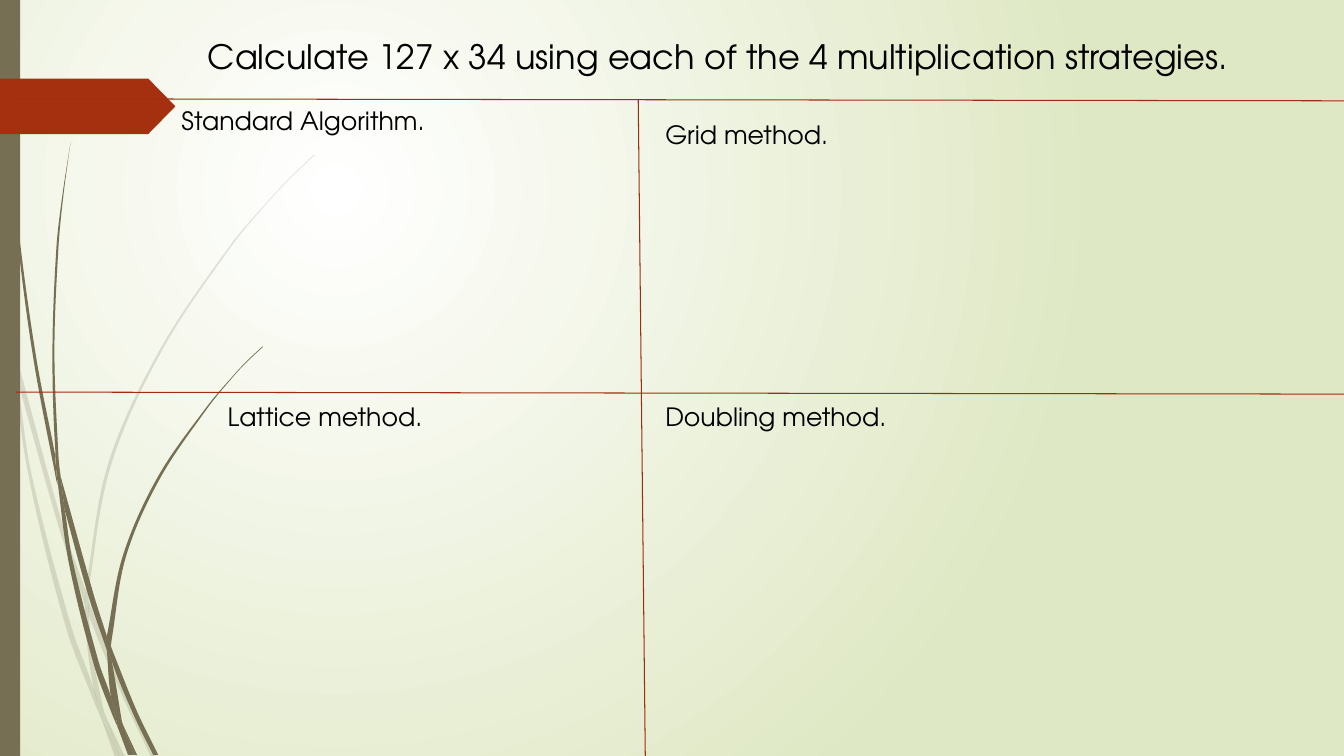
from math import dist
from lxml import etree
from pptx import Presentation
from pptx.dml.color import RGBColor
from pptx.enum.shapes import MSO_CONNECTOR as Link, MSO_SHAPE as Kind
from pptx.enum.text import MSO_ANCHOR as Anchor, MSO_AUTO_SIZE as Fit, PP_ALIGN as Align
from pptx.oxml.ns import qn
from pptx.util import Inches, Pt

COLORS = {"white": "FFFFFF", "sage": "DFE8C4", "olive": "766F54",
          "rust": "A53010", "rule": "9E2E0F", "ink": "000000"}
FONT = "TeX Gyre Adventor"

PALE = [
    ([(0.11, 3.5), (0.09, 3.22), (0, 2.82)], [(0, 2.99), (0.1, 3.44), (0.11, 3.5)]),
    ([(0.17, 3.76), (0.58, 5.22), (0.84, 5.99)], [(0.85, 5.86), (0.62, 5.2), (0.14, 3.45)]),
    ([(0.88, 5.96), (0.88, 6.1), (1.23, 6.94), (1.5, 7.51)],
     [(1.55, 7.51), (1.27, 6.92), (0.92, 6.07), (0.88, 5.96)]),
    ([(1.05, 7.11), (1.19, 7.51)], [(1.24, 7.51), (1.05, 7.11)]),
    ([(0.11, 3.5), (0.28, 4.7), (0.65, 6.21), (0.92, 6.93), (1.01, 7.14)],
     [(0.99, 7.07), (0.93, 6.83), (0.7, 6.19), (0.31, 4.69), (0.17, 3.76), (0.11, 3.5)]),
    ([(0.84, 5.99), (0.87, 6.46), (0.93, 6.83), (0.96, 6.92), (1.05, 7.11)],
     [(1.03, 7.06), (0.91, 6.46), (0.88, 6.1), (0.84, 5.99)]),
    ([(0.88, 5.96), (0.88, 5.84), (1.1, 4.62), (1.6, 3.49), (2.29, 2.45), (2.68, 1.98),
      (2.9, 1.75), (3.12, 1.54)],
     [(3.12, 1.53), (2.89, 1.75), (2.68, 1.97), (2.28, 2.44), (1.58, 3.48), (1.07, 4.61),
      (0.85, 5.84), (0.85, 5.86)]),
    ([(1.01, 7.14), (1.14, 7.51)], [(1.19, 7.51), (1.01, 7.14)]),
    ([(0.88, 6.08), (0.88, 5.96)], [(0.85, 5.86), (0.84, 5.99), (0.88, 6.08)]),
    ([(0.93, 6.83), (0.99, 7.07), (1.01, 7.14), (1.19, 7.51)],
     [(1.19, 7.51), (1.05, 7.11), (0.96, 6.92), (0.93, 6.83)]),
]
DARK = [
    ([(0.03, 0), (0.04, 0.48), (0.07, 1.1), (0.17, 2.33), (0.33, 3.55), (0.56, 4.77), (0.57, 4.81)],
     [(0.55, 4.57), (0.55, 4.53), (0.36, 3.55), (0.19, 2.32), (0.08, 1.09), (0.05, 0.48), (0.04, 0)]),
    ([(0.64, 5.05), (0.88, 5.92), (1.06, 6.45)], [(1.06, 6.31), (0.93, 5.9), (0.6, 4.72)]),
    ([(1.1, 6.41), (1.11, 6.56), (1.32, 7.08), (1.52, 7.49)],
     [(1.57, 7.49), (1.36, 7.06), (1.13, 6.49), (1.1, 6.41)]),
    ([(0.57, 4.77), (0.68, 5.57), (0.93, 6.59), (1.11, 7.08), (1.17, 7.22)],
     [(1.16, 7.17), (1.1, 6.91), (0.98, 6.57), (0.72, 5.56), (0.64, 5.05), (0.57, 4.77)]),
    ([(0.6, 4.72), (0.58, 4.53), (0.54, 3.49), (0.58, 2.45), (0.63, 1.93), (0.7, 1.41)],
     [(0.7, 1.41), (0.62, 1.93), (0.56, 2.45), (0.52, 3.49), (0.55, 4.49), (0.6, 4.72)]),
    ([(1.22, 7.19), (1.33, 7.49)], [(1.36, 7.49), (1.22, 7.19)]),
    ([(0.55, 4.53), (0.57, 4.77), (0.64, 5.05)], [(0.6, 4.72), (0.55, 4.49)]),
    ([(1.1, 6.41), (1.11, 6.33), (1.25, 5.52), (1.58, 4.76), (2.05, 4.06), (2.31, 3.74),
      (2.45, 3.59), (2.61, 3.44)],
     [(2.6, 3.44), (2.45, 3.58), (2.31, 3.73), (2.04, 4.05), (1.56, 4.74), (1.22, 5.51),
      (1.06, 6.31)]),
    ([(1.17, 7.22), (1.27, 7.49)], [(1.31, 7.49), (1.17, 7.22)]),
    ([(1.06, 6.45), (1.1, 6.91), (1.16, 7.06), (1.22, 7.19)],
     [(1.21, 7.16), (1.11, 6.56), (1.09, 6.51), (1.06, 6.45)]),
    ([(1.06, 6.45), (1.09, 6.51), (1.11, 6.56)], [(1.1, 6.41), (1.06, 6.31), (1.06, 6.45)]),
    ([(1.1, 6.91), (1.16, 7.17), (1.17, 7.22), (1.3, 7.49)],
     [(1.33, 7.49), (1.22, 7.19), (1.16, 7.06), (1.1, 6.91)]),
]
RULES = [(0.16, 3.89, 13.33, 3.91), (6.33, 0.98, 6.4, 7.5), (0.16, 0.98, 13.33, 1)]
LABELS = [("Standard Algorithm.", 1.7, 1), ("Doubling method.", 6.5, 3.93),
          ("Lattice method.", 2.16, 3.93), ("Grid method.", 6.5, 1.13)]


def color(name):
    return RGBColor.from_string(COLORS[name])


def paint(shape, name, alpha=100):
    shape.shadow.inherit = False
    shape.line.fill.background()
    shape.fill.solid()
    shape.fill.fore_color.rgb = color(name)
    if alpha < 100:
        tone = shape.fill._xPr.find(".//" + qn("a:srgbClr"))
        etree.SubElement(tone, qn("a:alpha"), val=str(alpha * 1000))


def glow(slide):
    fill = slide.background.fill
    fill.gradient()
    for stop, name in zip(fill.gradient_stops, ("white", "sage")):
        stop.color.rgb = color(name)
    grad = slide.background._cSld.find(".//" + qn("a:gradFill"))
    grad.remove(grad.find(qn("a:lin")))
    ring = etree.SubElement(grad, qn("a:path"), path="circle")
    etree.SubElement(ring, qn("a:fillToRect"), l="50000", t="50000", r="100000", b="100000")


def bend(edge):
    """Return Bezier points, three for each step along a smooth edge."""
    ends = [edge[0], *edge, edge[-1]]
    points = []
    for a, b, c, d in zip(ends, ends[1:], ends[2:], ends[3:]):
        out = dist(b, c) / 3 / dist(a, c)
        back = dist(b, c) / 3 / dist(b, d)
        points += [[q + out * (r - p) for p, q, r in zip(a, b, c)],
                   [r - back * (s - q) for q, r, s in zip(b, c, d)], c]
    return points


def blade(group, down, up, alpha):
    points = bend(down) + [down[-1], up[0], up[0]] + bend(up)
    pen = group.shapes.build_freeform(*map(Inches, down[0]))
    pen.add_line_segments([tuple(map(Inches, point)) for point in points], close=True)
    shape = pen.convert_to_shape()
    paint(shape, "olive", alpha)
    lines = list(shape._element.iter(qn("a:lnTo")))
    for trio in zip(lines[::3], lines[1::3], lines[2::3]):
        curve = etree.Element(qn("a:cubicBezTo"))
        trio[0].addprevious(curve)
        for line in trio:
            curve.append(line[0])
            line.getparent().remove(line)


def block(slide, kind, name, *box):
    shape = slide.shapes.add_shape(kind, *map(Inches, box))
    paint(shape, name)
    return shape


def rule(slide, *ends):
    line = slide.shapes.add_connector(Link.STRAIGHT, *map(Inches, ends))
    line.line.color.rgb = color("rule")
    line.line.width = Pt(0.75)
    etree.SubElement(line._element.spPr, qn("a:effectLst"))


def write(shape, text, size):
    frame = shape.text_frame
    frame.text = text
    frame.word_wrap = True
    frame.auto_size = Fit.NONE
    frame.vertical_anchor = Anchor.TOP
    para = frame.paragraphs[0]
    para.alignment = Align.LEFT
    font = para.runs[0].font
    font.name, font.size = FONT, Pt(size)
    font.color.rgb = color("ink")


def main():
    deck = Presentation()
    deck.slide_width, deck.slide_height = Inches(13.33), Inches(7.5)
    slide = deck.slides.add_slide(deck.slide_layouts[5])
    glow(slide)
    for blades, alpha in ((PALE, 20), (DARK, 100)):
        group = slide.shapes.add_group_shape()
        for down, up in blades:
            blade(group, down, up, alpha)
    block(slide, Kind.RECTANGLE, "olive", 0, 0, 0.2, 7.5)
    flag = block(slide, Kind.PENTAGON, "rust", 0, 0.78, 1.74, 0.55)
    flag.adjustments[0] = 0.49
    for ends in RULES:
        rule(slide, *ends)
    title = slide.shapes.title
    title.left, title.top = Inches(1.96), Inches(0.31)
    title.width, title.height = Inches(10.95), Inches(0.5)
    write(title, "Calculate 127 x 34 using each of the 4 multiplication strategies.", 24)
    for text, left, top in LABELS:
        box = slide.shapes.add_textbox(*map(Inches, (left, top, 3.4, 0.4)))
        write(box, text, 18)
    deck.save("out.pptx")


if __name__ == "__main__":
    main()
